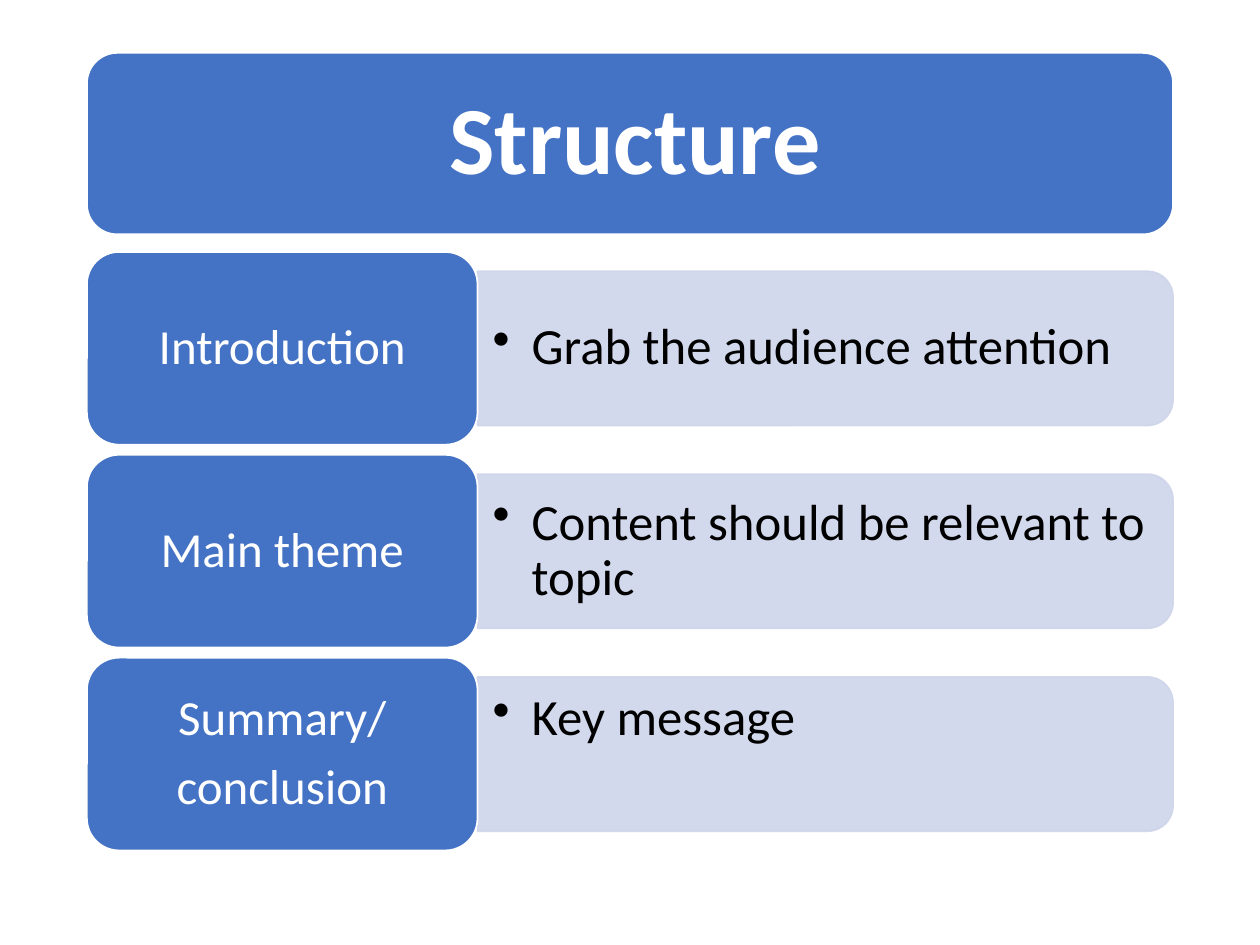
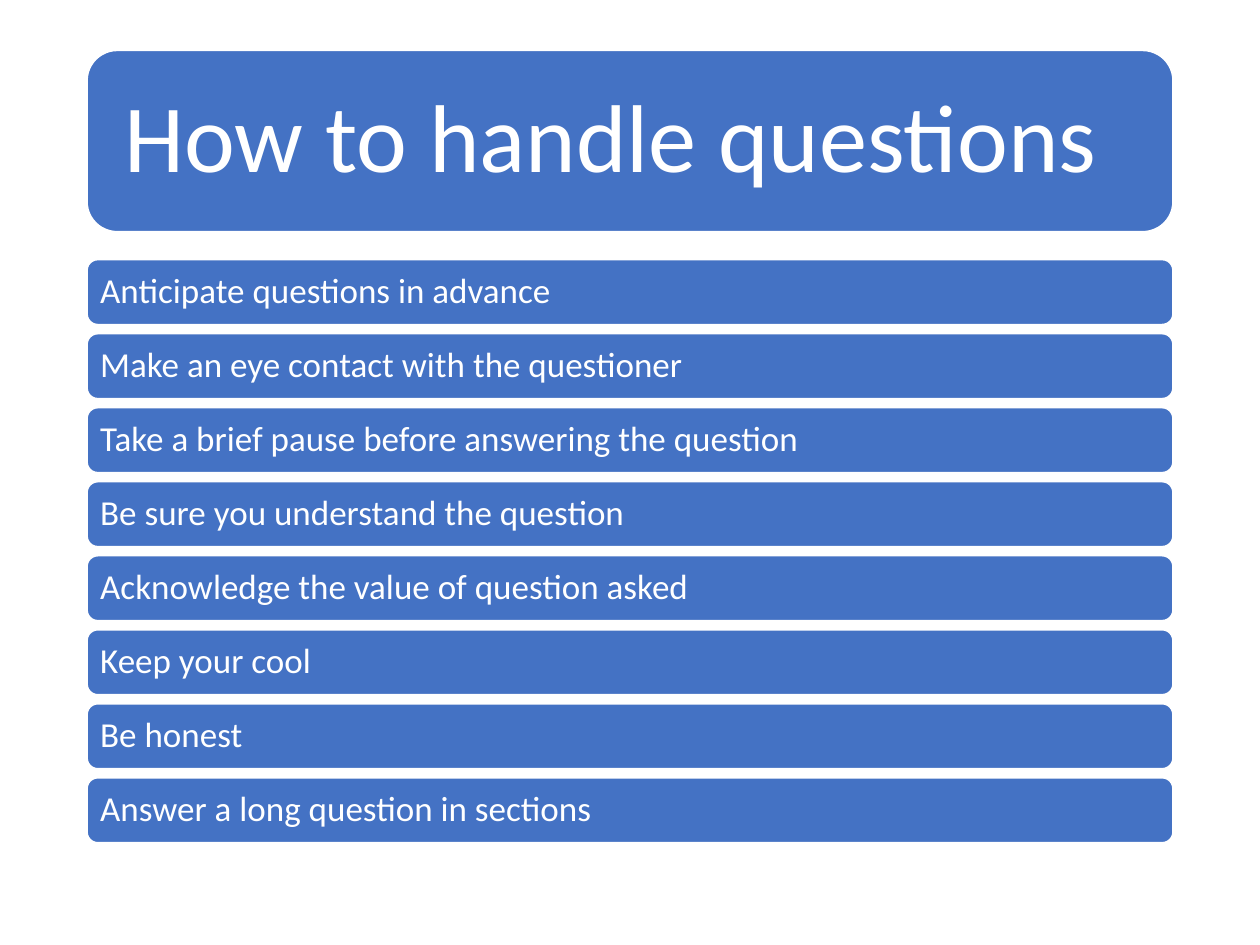
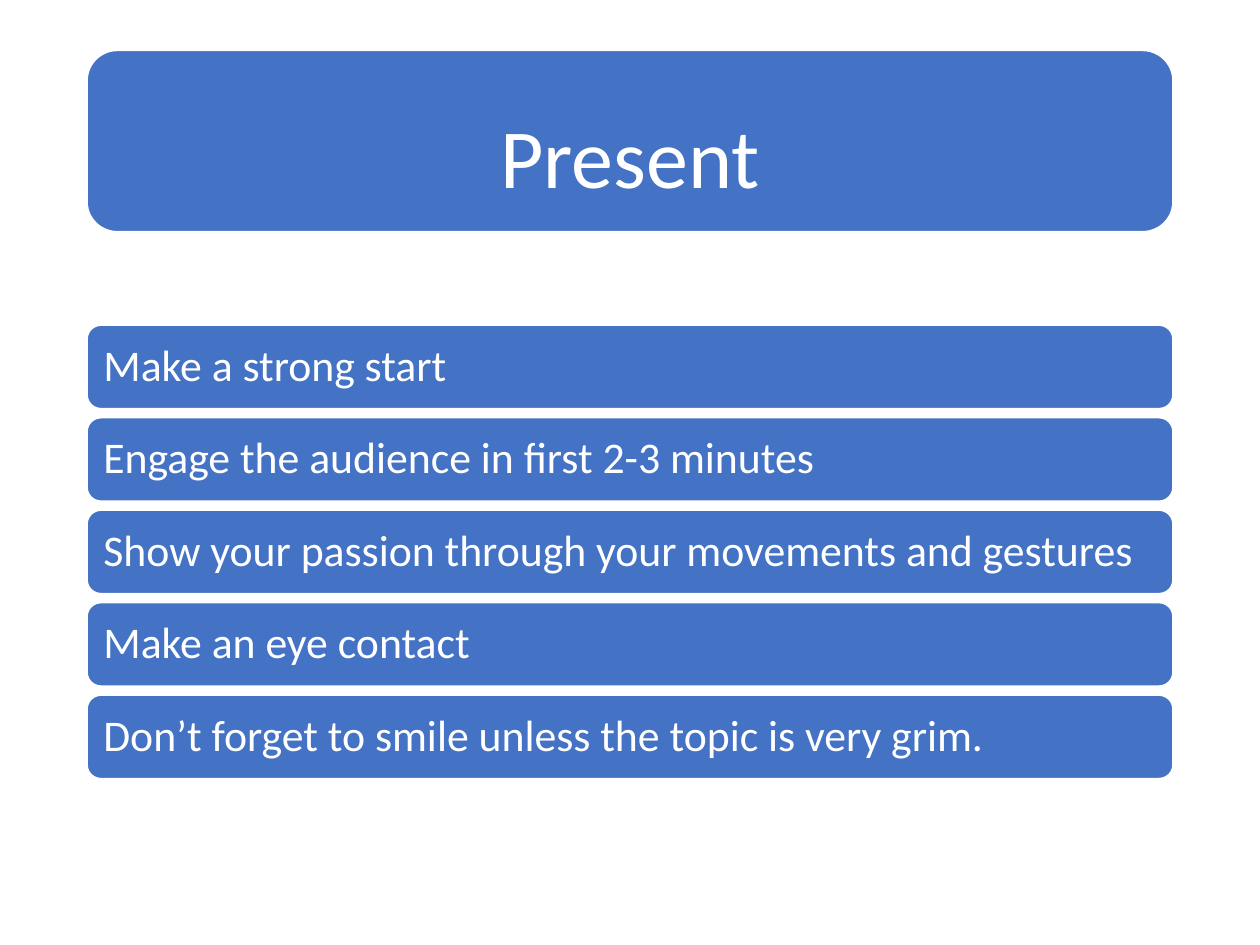
from lxml.etree import SubElement as Sub
from pptx import Presentation
from pptx.dml.color import RGBColor as Rgb
from pptx.enum.shapes import MSO_SHAPE as Kind
from pptx.enum.text import MSO_ANCHOR as Anchor, MSO_AUTO_SIZE as Fit, PP_ALIGN as Align
from pptx.oxml.ns import qn
from pptx.util import Inches, Pt

FONT = "Calibri"
HUE = {"blue": "4472C4", "pale": "CFD5EA", "white": "FFFFFF", "black": "000000"}
LEFT, WIDE = 0.69, 8.62
TAG = 3.1

PARTS = [
    (["Introduction"], "Grab the audience attention", Anchor.MIDDLE),
    (["Main theme"], "Content should be relevant to topic", Anchor.MIDDLE),
    (["Summary/", "conclusion"], "Key message", Anchor.TOP),
]
ASKED = [
    "Anticipate questions in advance",
    "Make an eye contact with the questioner",
    "Take a brief pause before answering the question",
    "Be sure you understand the question",
    "Acknowledge the value of question asked",
    "Keep your cool",
    "Be honest",
    "Answer a long question in sections",
]
SHOWN = [
    "Make a strong start",
    "Engage the audience in first 2-3 minutes",
    "Show your passion through your movements and gestures",
    "Make an eye contact",
    "Don’t forget to smile unless the topic is very grim.",
]


def paint(shape, fill, line):
    """Set the fill and outline of a shape and drop its shadow."""
    shape.shadow.inherit = False
    shape.fill.solid()
    shape.fill.fore_color.rgb = Rgb.from_string(HUE[fill])
    shape.line.color.rgb = Rgb.from_string(HUE[line])
    shape.line.width = Pt(1)


def fade(shape, share):
    """Make the fill and outline of a shape let some light through."""
    for color in shape.element.spPr.iter(qn("a:srgbClr")):
        Sub(color, qn("a:alpha"), val=str(share * 1000))


def write(shape, lines, size, pad, hue="white", align=Align.LEFT,
          anchor=Anchor.MIDDLE, bold=False, dot=False):
    """Fill a shape with paragraphs; pad holds the side and the end inset."""
    frame = shape.text_frame
    frame.word_wrap = True
    frame.auto_size = Fit.NONE
    frame.vertical_anchor = anchor
    frame.margin_left = frame.margin_right = Inches(pad[0])
    frame.margin_top = frame.margin_bottom = Inches(pad[1])
    for rank, line in enumerate(lines):
        para = frame.add_paragraph() if rank else frame.paragraphs[0]
        if dot:
            props = para._p.get_or_add_pPr()
            props.set("marL", str(Inches(0.31)))
            props.set("indent", str(Inches(-0.31)))
            Sub(props, qn("a:buChar"), char="•")
        para.alignment = align
        para.line_spacing = 0.9
        para.space_before = Pt(9.5 if rank else 0)
        run = para.add_run()
        run.text = line
        run.font.name = FONT
        run.font.size = Pt(size)
        run.font.bold = bold
        run.font.color.rgb = Rgb.from_string(HUE[hue])


def block(slide, left, top, wide, high):
    """Add a blue rounded block with a white edge."""
    box = map(Inches, (left, top, wide, high))
    shape = slide.shapes.add_shape(Kind.ROUNDED_RECTANGLE, *box)
    paint(shape, "blue", "white")
    return shape


def split(top, high, count, gap):
    """Return the tops and the shared height of equal rows."""
    step = (high + gap) / count
    return [top + rank * step for rank in range(count)], step - gap


def banner(deck, text, top, size, pad, shift=(0, 0), **style):
    """Add a slide with its title on a blue banner."""
    slide = deck.slides.add_slide(deck.slide_layouts[5])
    high = 1.44
    block(slide, LEFT, top, WIDE, high)
    title = slide.shapes.title
    slide.shapes.element.append(title.element)
    title.left, title.top = Inches(LEFT + 0.07 + shift[0]), Inches(top + 0.07 + shift[1])
    title.width, title.height = Inches(WIDE - 0.14), Inches(high - 0.14)
    write(title, [text], size, (pad, pad), **style)
    return slide


def bars(slide, items, top, high, size, pad):
    """Stack one full-width bar for each item in the given height."""
    tops, tall = split(top, high, len(items), 0.07)
    for item, spot in zip(items, tops):
        bar = block(slide, LEFT, spot, WIDE, tall)
        write(bar, [item], size, (pad, pad))


def panel(slide, left, mid, wide, high, text, anchor):
    """Add a pale panel rounded on the right, with its bullet."""
    box = left + (wide - high) / 2, mid - wide / 2, high, wide
    shape = slide.shapes.add_shape(Kind.ROUND_2_SAME_RECTANGLE, *map(Inches, box))
    shape.rotation = 90
    paint(shape, "pale", "pale")
    fade(shape, 90)
    tall = high - 0.12
    note = slide.shapes.add_textbox(
        *map(Inches, (left, mid - tall / 2, wide - 0.06, tall)))
    write(note, [text], 29, (0.12, 0.06), "black", anchor=anchor, dot=True)


def rows(slide, parts, top, high):
    """Stack rows of a blue tag and a pale panel in the given height."""
    tops, tall = split(top, high, len(parts), 0.08)
    for (names, text, anchor), spot in zip(parts, tops):
        panel(slide, LEFT + TAG, spot + tall / 2, WIDE - TAG, tall * 0.8, text, anchor)
        tag = block(slide, LEFT, spot, TAG, tall)
        write(tag, names, 28, (0.12, 0.06), align=Align.CENTER)


def main():
    """Build the three slides and save them."""
    deck = Presentation()
    deck.slide_width, deck.slide_height = Inches(10), Inches(7.5)
    slide = banner(deck, "Structure", 0.42, 55, 0.23, (0.04, 0),
                   align=Align.CENTER, bold=True)
    rows(slide, PARTS, 2, 4.75)
    slide = banner(deck, "How to handle questions", 0.4, 55, 0.23)
    bars(slide, ASKED, 2.06, 4.63, 20, 0.08)
    slide = banner(deck, "Present", 0.4, 48, 0.2, (0, 0.16), align=Align.CENTER)
    bars(slide, SHOWN, 2.58, 3.6, 25, 0.1)
    deck.save("out.pptx")


if __name__ == "__main__":
    main()
